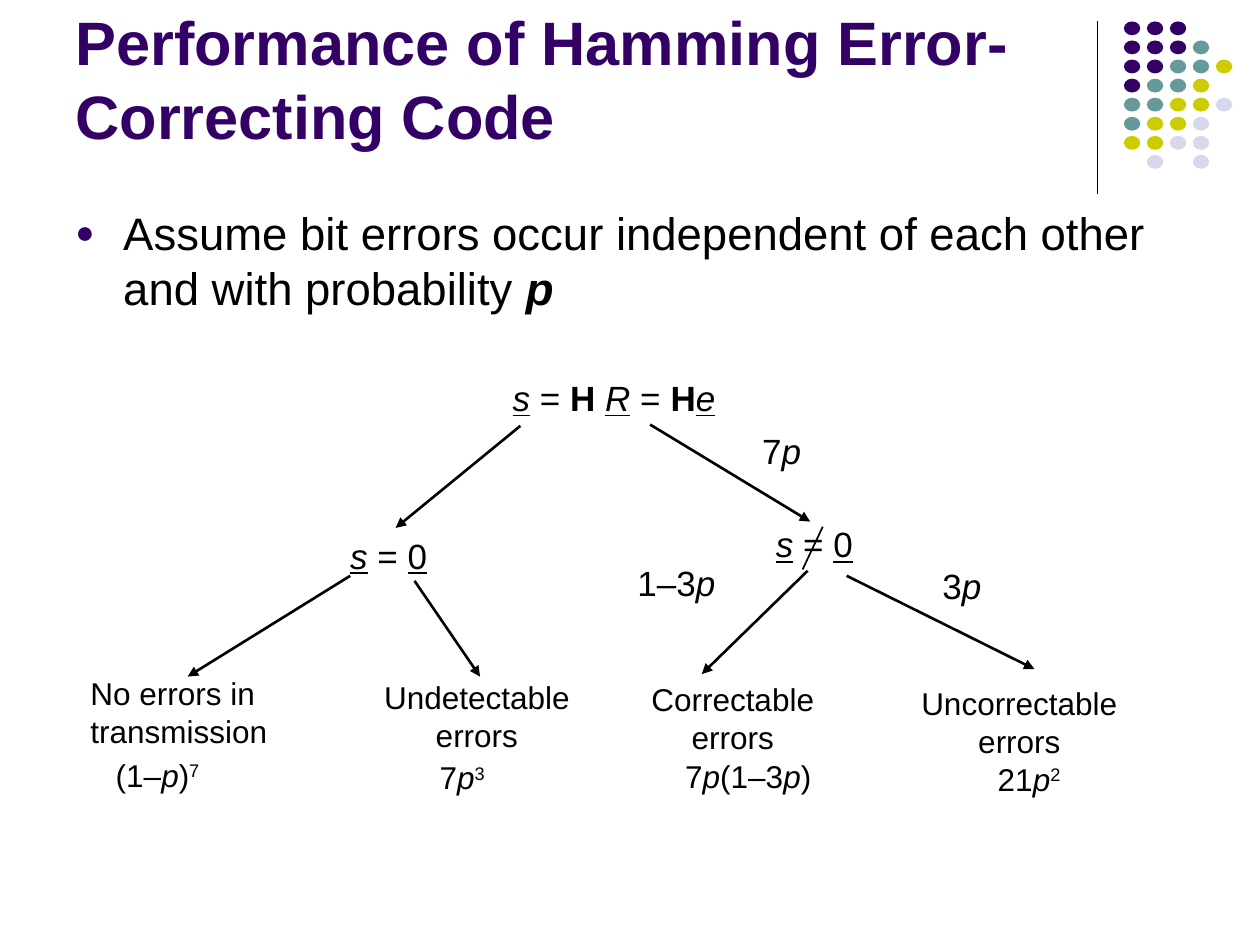
import pptx
import pptx.dml.color
import pptx.enum.shapes
import pptx.enum.text
import pptx.oxml
import pptx.oxml.ns
import pptx.util
import lxml.etree

Inches, Pt = pptx.util.Inches, pptx.util.Pt
ALIGN = pptx.enum.text.PP_ALIGN
ANCHOR = pptx.enum.text.MSO_ANCHOR
AUTO = pptx.enum.text.MSO_AUTO_SIZE
COLORS = {"purple": "330066", "teal": "669999", "lime": "CCCC00",
          "lilac": "D8D8EC", "black": "000000"}
STYLE = {"b": "bold", "i": "italic", "u": "underline"}


def rgb(name):
    return pptx.dml.color.RGBColor.from_string(COLORS[name])


def add_xml(parent, tag, **attrs):
    el = lxml.etree.SubElement(parent, pptx.oxml.ns.qn(tag))
    for key, value in attrs.items():
        el.set(key, str(value))
    return el


class Deck:
    font = "Arial"

    def __init__(self, width, height):
        self.prs = pptx.Presentation()
        self.prs.slide_width, self.prs.slide_height = Inches(width), Inches(height)
        self.s = self.prs.slides.add_slide(self.prs.slide_layouts[6])

    def text(self, at, paragraphs, size, color="black", align=ALIGN.LEFT,
             anchor=ANCHOR.TOP, wrap=False, auto=AUTO.SHAPE_TO_FIT_TEXT):
        """Each paragraph is a list of (text, flags); flags: b, i, u, ^ (superscript)."""
        sp = self.s.shapes.add_textbox(*map(Inches, at))
        tf = sp.text_frame
        for name, value in {"word_wrap": wrap, "vertical_anchor": anchor,
                            "auto_size": auto}.items():
            setattr(tf, name, value)
        for n, runs in enumerate(paragraphs):
            p = tf.add_paragraph() if n else tf.paragraphs[0]
            p.alignment = align
            for words, flags in runs:
                r = p.add_run()
                r.text = words
                fmt = {"name": self.font, "size": Pt(size)}
                fmt.update({STYLE[f]: True for f in flags if f in STYLE})
                for name, value in fmt.items():
                    setattr(r.font, name, value)
                r.font.color.rgb = rgb(color)
                if "^" in flags:
                    r._r.get_or_add_rPr().set("baseline", "30000")
        return tf

    def bullet(self, p, indent, color):
        p.space_before = Pt(6.5)
        pPr = p._p.get_or_add_pPr()
        pPr.set("marL", str(Inches(indent)))
        pPr.set("indent", str(-Inches(indent)))
        add_xml(add_xml(pPr, "a:buClr"), "a:srgbClr", val=COLORS[color])
        add_xml(pPr, "a:buSzPct", val=70000)
        add_xml(pPr, "a:buFont", typeface=self.font)
        add_xml(pPr, "a:buChar", char="●")

    def line(self, start, end, width, arrow=False):
        sp = self.s.shapes.add_connector(
            pptx.enum.shapes.MSO_CONNECTOR.STRAIGHT, *map(Inches, start + end))
        sp.line.color.rgb, sp.line.width = rgb("black"), Pt(width)
        if arrow:
            add_xml(sp.line._get_or_add_ln(), "a:tailEnd", type="triangle")
        add_xml(sp._element.spPr, "a:effectLst")

    def dot(self, left, top, color):
        sp = self.s.shapes.add_shape(pptx.enum.shapes.MSO_SHAPE.OVAL, *map(
            Inches, (left, top, 0.13, 0.11)))
        sp.shadow.inherit = False
        sp.fill.solid()
        sp.fill.fore_color.rgb = rgb(color)
        sp.line.fill.background()


def main():
    deck = Deck(10, 7.5)

    # Corner decoration: rule and dot grid
    deck.line((8.71, 0.17), (8.71, 1.54), 0.75)
    dot_colors = {"P": "purple", "T": "teal", "Y": "lime", "L": "lilac"}
    dot_rows = ["PPP", "PPPT", "PPTTY", "PTTY", "TTYYL", "TYYL", "YYLL", " L L"]
    for row, codes in enumerate(dot_rows):
        for col, code in enumerate(codes):
            if code in dot_colors:
                deck.dot(8.92 + col * 0.73 / 4, 0.17 + row * 1.06 / 7, dot_colors[code])

    # Title and body
    deck.text((0.5, 0.13, 8.25, 1.12),
              [[("Performance of Hamming Error-Correcting Code", "b")]],
              35, "purple", anchor=ANCHOR.BOTTOM, wrap=True, auto=AUTO.NONE)
    body = deck.text((0.5, 1.58, 9, 0.98), [[
        ("Assume bit errors occur independent of each other and with probability ", ""),
        ("p", "bi")]], 26, wrap=True, auto=AUTO.NONE)
    deck.bullet(body.paragraphs[0], 0.38, "purple")

    # Tree nodes and branch probabilities
    zero = [("s", "iu"), (" = ", ""), ("0", "u")]
    syndrome = [("s", "iu"), (" = ", ""), ("H ", "b"), ("R", "iu"),
                (" = ", ""), ("H", "b"), ("e", "iu")]
    for left, top, width, wrap, runs in [
            (3.97, 2.94, 1.81, False, syndrome),
            (2.68, 4.19, 0.81, False, zero),
            (6.06, 4.1, 0.81, False, zero),
            (5.95, 3.36, 0.98, True, [("7", ""), ("p", "i")]),
            (4.96, 4.41, 0.82, False, [("1–3", ""), ("p", "i")]),
            (7.38, 4.43, 0.51, False, [("3", ""), ("p", "i")])]:
        deck.text((left, top, width, 0.43), [runs], 20, wrap=wrap)

    # Branches, and the stroke that makes "not equal"
    for start, end in [((4.13, 3.38), (3.14, 4.19)), ((5.16, 3.37), (6.43, 4.14)),
                       ((2.78, 4.57), (1.49, 5.37)), ((3.29, 4.61), (3.81, 5.37)),
                       ((6.41, 4.53), (5.57, 5.35)), ((6.72, 4.57), (8.21, 5.31))]:
        deck.line(start, end, 1.5, arrow=True)
    deck.line((6.53, 4.18), (6.37, 4.52), 1)

    # Outcomes
    for left, top, width, lines, align in [
            (0.62, 5.3, 1.67, ("No errors in", "transmission"), ALIGN.LEFT),
            (2.95, 5.33, 1.67, ("Undetectable", "errors"), ALIGN.CENTER),
            (5.07, 5.35, 1.49, ("Correctable", "errors"), ALIGN.CENTER),
            (7.2, 5.38, 1.78, ("Uncorrectable", "errors"), ALIGN.CENTER)]:
        deck.text((left, top, width, 0.7), [[(t, "")] for t in lines], 18, align=align)

    # Outcome probabilities
    for left, top, width, wrap, runs in [
            (0.82, 5.95, 0.88, False, [("(1–", ""), ("p", "i"), (")", ""), ("7", "^")]),
            (3.39, 5.97, 0.98, True, [("7", ""), ("p", "i"), ("3", "^")]),
            (5.34, 5.96, 1.2, False, [("7", ""), ("p", "i"), ("(1–3", ""),
                                      ("p", "i"), (")", "")]),
            (7.82, 5.98, 0.98, True, [("21", ""), ("p", "i"), ("2", "^")])]:
        deck.text((left, top, width, 0.4), [runs], 18, wrap=wrap)

    deck.prs.save("out.pptx")


if __name__ == "__main__":
    main()
